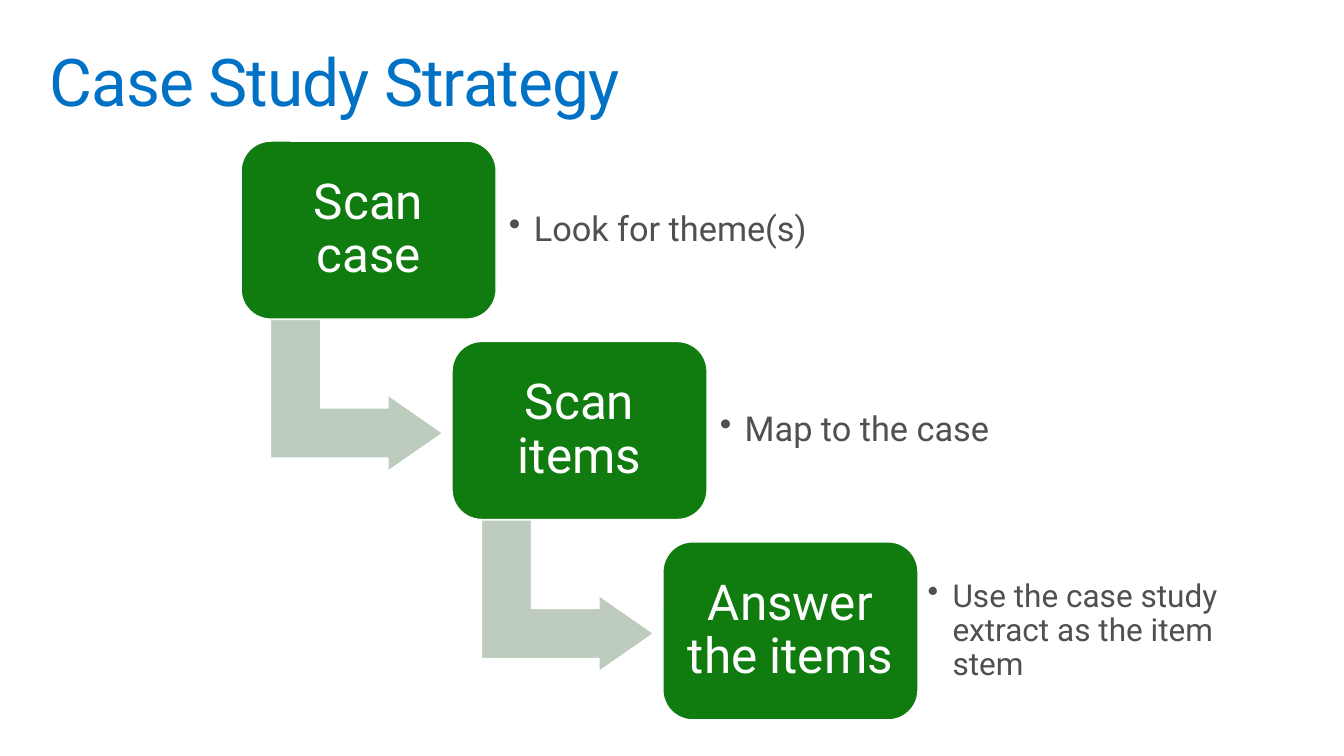
import pptx
import pptx.util
import pptx.dml.color
import pptx.enum.shapes
import pptx.enum.text
import pptx.oxml.ns
import lxml.etree

"""Build the Case Study Strategy slide as a descending staircase of steps."""

TITLE = "Case Study Strategy"
STEPS = [
    {"name": "Scan case", "note": "Look for theme(s)", "size": 25, "width": 8.99, "inset": 0.33},
    {"name": "Scan items", "note": "Map to the case", "size": 25, "width": 7.8, "inset": 0.33},
    {"name": "Answer the items", "note": "Use the case study extract as the item stem",
     "size": 23, "width": 9.4, "inset": 0.25},
]
COLORS = {"title": "0072C6", "step": "107C10", "arrow": "BDCCBD", "white": "FFFFFF", "note": "505050"}
FONT = "Roboto"
FIRST_LEFT, FIRST_TOP = 6.2, 3.63
STEP_RIGHT, STEP_DOWN = 5.42, 5.15
STEP_WIDTH, STEP_HEIGHT = 6.55, 4.57
ARROW_RIGHT, ARROW_DOWN, ARROW_WIDTH, ARROW_HEIGHT = 1.02, 4.32, 3.89, 4.42
NOTE_HEIGHT = 3.71

Cm, Pt = pptx.util.Cm, pptx.util.Pt
Shape = pptx.enum.shapes.MSO_SHAPE
Anchor = pptx.enum.text.MSO_ANCHOR
Align = pptx.enum.text.PP_ALIGN


def color(name):
    return pptx.dml.color.RGBColor.from_string(COLORS[name])


def write(shape, text, size, tone, inset, anchor, align=Align.LEFT, bullet=False):
    frame = shape.text_frame
    frame.word_wrap = True
    frame.vertical_anchor = anchor
    frame.margin_left = frame.margin_right = Cm(inset)
    frame.margin_top = frame.margin_bottom = Cm(inset)
    para = frame.paragraphs[0]
    para.text = text
    para.alignment = align
    para.line_spacing = 0.9
    if bullet:
        settings = para._p.get_or_add_pPr()
        settings.set("marL", str(Cm(0.64)))
        settings.set("indent", str(-Cm(0.64)))
        mark = lxml.etree.SubElement(settings, pptx.oxml.ns.qn("a:buChar"))
        mark.set("char", "•")
    para.font.name = FONT
    para.font.size = Pt(size)
    para.font.color.rgb = color(tone)
    return para


def add_filled(page, kind, left, top, width, height, tone):
    shape = page.shapes.add_shape(kind, Cm(left), Cm(top), Cm(width), Cm(height))
    shape.shadow.inherit = False
    shape.fill.solid()
    shape.fill.fore_color.rgb = color(tone)
    shape.line.color.rgb = color("white")
    shape.line.width = Pt(0.85)
    return shape


def add_step(page, number, step):
    left = FIRST_LEFT + number * STEP_RIGHT
    top = FIRST_TOP + number * STEP_DOWN
    if number < len(STEPS) - 1:
        arrow = add_filled(page, Shape.BENT_UP_ARROW, left + ARROW_RIGHT, top + ARROW_DOWN,
                           ARROW_WIDTH, ARROW_HEIGHT, "arrow")
        arrow.rotation = 90
        for index, value in enumerate((0.33, 0.25, 0.36)):
            arrow.adjustments[index] = value
    box = add_filled(page, Shape.ROUNDED_RECTANGLE, left, top, STEP_WIDTH, STEP_HEIGHT, "step")
    write(box, step["name"], 36, "white", 0.38, Anchor.MIDDLE, Align.CENTER)
    note = page.shapes.add_textbox(Cm(left + STEP_WIDTH), Cm(top + (STEP_HEIGHT - NOTE_HEIGHT) / 2),
                                   Cm(step["width"]), Cm(NOTE_HEIGHT))
    write(note, step["note"], step["size"], "note", step["inset"], Anchor.MIDDLE, bullet=True)


def main():
    deck = pptx.Presentation()
    deck.slide_width, deck.slide_height = Cm(34.54), Cm(19.43)
    page = deck.slides.add_slide(deck.slide_layouts[6])
    title = page.shapes.add_textbox(Cm(1.02), Cm(1.02), Cm(32.5), Cm(2.54))
    para = write(title, TITLE, 48, "title", 0.25, Anchor.TOP)
    para.runs[0].font._element.set("spc", "-70")
    for number, step in enumerate(STEPS):
        add_step(page, number, step)
    deck.save("out.pptx")


if __name__ == "__main__":
    main()
